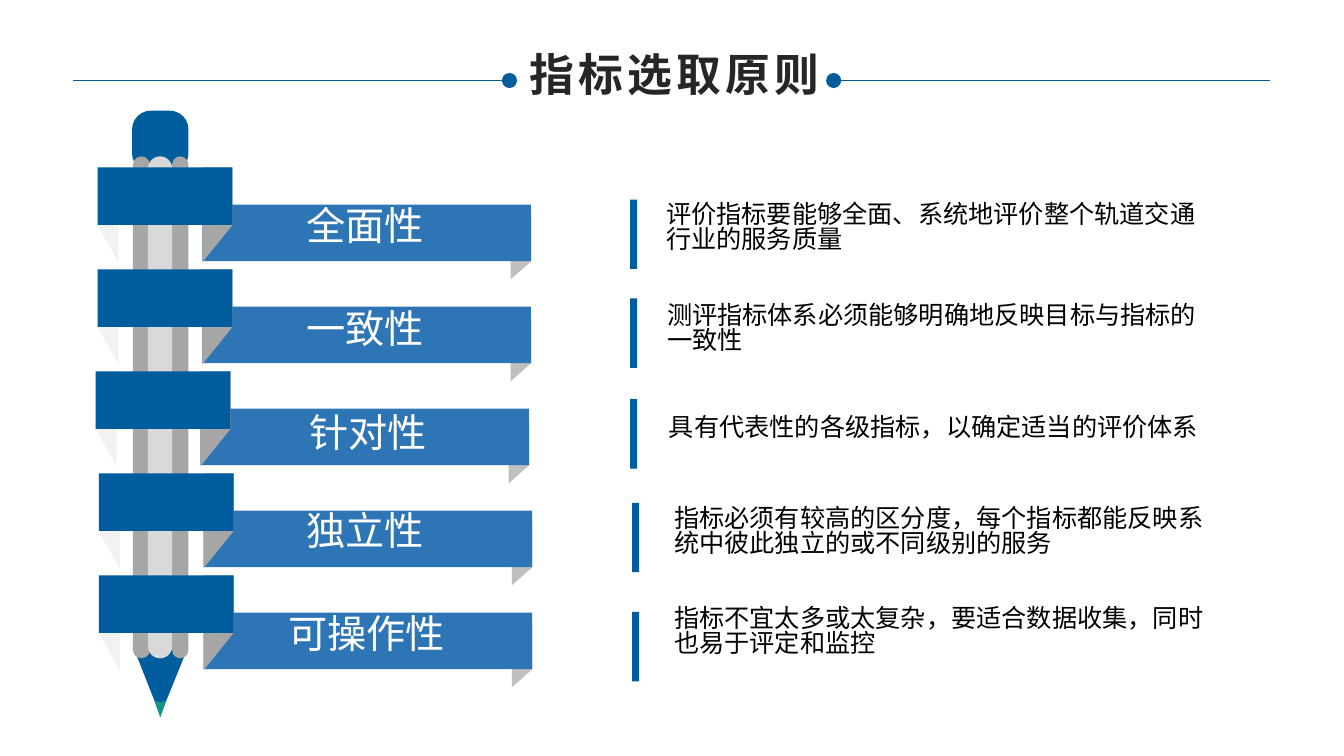
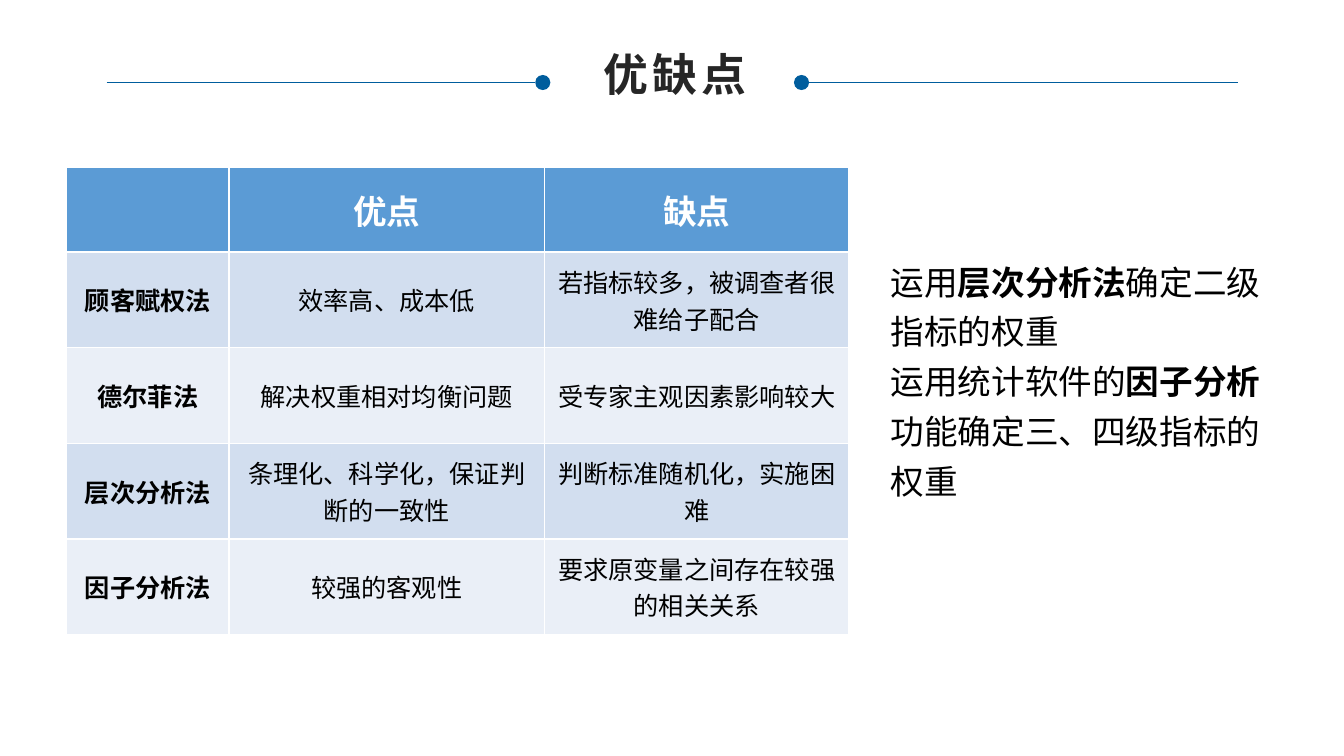
from typing import NamedTuple

from lxml import etree
from pptx import Presentation
from pptx.dml.color import RGBColor
from pptx.enum import shapes, text
from pptx.oxml import ns
from pptx.util import Cm, Pt

NAVY = RGBColor(0x00, 0x5D, 0x9D)
BLUE = RGBColor(0x2E, 0x75, 0xB6)
TEAL = RGBColor(0x13, 0x91, 0x8D)
HEADER_BLUE = RGBColor(0x5B, 0x9B, 0xD5)
ROW_DARK = RGBColor(0xD2, 0xDE, 0xEF)
ROW_LIGHT = RGBColor(0xEA, 0xEF, 0xF7)
INK = RGBColor(0x26, 0x26, 0x26)
BLACK = RGBColor(0, 0, 0)
WHITE = RGBColor(0xFF, 0xFF, 0xFF)
GREY = RGBColor(0xA6, 0xA6, 0xA6)
SILVER = RGBColor(0xBF, 0xBF, 0xBF)
PALE_GREY = RGBColor(0xD9, 0xD9, 0xD9)
MIST = RGBColor(0xF2, 0xF2, 0xF2)

CJK_FONT = "Noto Sans CJK SC"
LATIN_FONT = "Arial"
SINGLE = 0.83
DOT = 0.38
RULE_LENGTH = 10.8
BAND_TOP = 4.22
BAND_STEP = 2.57

RECT = shapes.MSO_SHAPE.RECTANGLE
ROUNDED = shapes.MSO_SHAPE.ROUNDED_RECTANGLE
OVAL = shapes.MSO_SHAPE.OVAL


class Frame(NamedTuple):
    left: float
    top: float
    width: float
    height: float

    def lengths(self) -> tuple:
        return tuple(Cm(value) for value in self)


class Style(NamedTuple):
    size: float
    color: RGBColor
    bold: bool = False
    font: str = CJK_FONT
    align: text.PP_ALIGN = text.PP_ALIGN.LEFT
    line_spacing: float = SINGLE
    tracking: int = 0


class Title(NamedTuple):
    words: str
    left: float
    right: float
    rule_y: float
    box: Frame


class Principle(NamedTuple):
    name: str
    detail: str
    band_left: float
    label: Frame
    bar: tuple
    body: Frame
    body_font: str = LATIN_FONT


class Rail(NamedTuple):
    left: float
    width: float
    color: RGBColor


CENTER = text.PP_ALIGN.CENTER
TITLE_STYLE = Style(32, INK, True, LATIN_FONT, CENTER, tracking=300)
LABEL_STYLE = Style(28, WHITE)
HEADER_STYLE = Style(24, WHITE, True, align=CENTER, line_spacing=1)
CELL_STYLE = Style(18, BLACK, align=CENTER, line_spacing=1)
SUMMARY_STYLE = Style(24, BLACK, line_spacing=1.24)

PRINCIPLES = [
    Principle("全面性", "评价指标要能够全面、系统地评价整个轨道交通行业的服务质量", 2.46,
              Frame(7.47, 5.16, 4.24, 1.45), (15.88, 5.03),
              Frame(16.54, 5, 14, 1.8), CJK_FONT),
    Principle("一致性", "测评指标体系必须能够明确地反映目标与指标的一致性", 2.46,
              Frame(7.47, 7.75, 4.24, 1.45), (15.88, 7.52),
              Frame(16.56, 7.54, 13.92, 1.8)),
    Principle("针对性", "具有代表性的各级指标，以确定适当的评价体系", 2.41,
              Frame(7.54, 10.36, 4.24, 1.45), (15.88, 10.06),
              Frame(16.61, 10.36, 13.97, 1.02)),
    Principle("独立性", "指标必须有较高的区分度，每个指标都能反映系统中彼此独立的或不同级别的服务", 2.49,
              Frame(7.47, 12.83, 4.24, 1.45), (15.93, 12.67),
              Frame(16.74, 12.67, 13.84, 1.8)),
    Principle("可操作性", "指标不宜太多或太复杂，要适合数据收集，同时也易于评定和监控", 2.49,
              Frame(7.01, 15.42, 5.33, 1.45), (15.93, 15.42),
              Frame(16.74, 15.19, 13.84, 1.8)),
]

RAILS = [Rail(4.34, 0.41, GREY), Rail(3.35, 0.43, GREY), Rail(3.73, 0.61, PALE_GREY)]

METHODS = [
    ("", "优点", "缺点"),
    ("顾客赋权法", "效率高、成本低", "若指标较多，被调查者很难给子配合"),
    ("德尔菲法", "解决权重相对均衡问题", "受专家主观因素影响较大"),
    ("层次分析法", "条理化、科学化，保证判断的一致性", "判断标准随机化，实施困难"),
    ("因子分析法", "较强的客观性", "要求原变量之间存在较强的相关关系"),
]
COLUMN_WIDTHS = [4.09, 7.95, 7.67]
ROW_HEIGHTS = [2.13] + [2.41] * 4

SUMMARY = [
    [("运用", False), ("层次分析法", True), ("确定二级指标的权重", False)],
    [("运用统计软件的", False), ("因子分析", True), ("功能确定三、四级指标的权重", False)],
]


def paint(shape, color: RGBColor) -> None:
    shape.shadow.inherit = False
    shape.fill.solid()
    shape.fill.fore_color.rgb = color
    shape.line.fill.background()


def add_block(page, kind, frame: Frame, color: RGBColor, rounding: float = 0) -> None:
    block = page.shapes.add_shape(kind, *frame.lengths())
    paint(block, color)
    if rounding:
        block.adjustments[0] = rounding


def add_outline(page, points: list, color: RGBColor, left: float = 0, top: float = 0) -> None:
    corners = [(Cm(left + x), Cm(top + y)) for x, y in points]
    builder = page.shapes.build_freeform(*corners[0])
    builder.add_line_segments(corners[1:], close=True)
    paint(builder.convert_to_shape(), color)


def style_paragraph(para, style: Style) -> None:
    para.alignment = style.align
    para.line_spacing = style.line_spacing
    font = para.font
    font.size = Pt(style.size)
    font.bold = style.bold
    font.color.rgb = style.color
    font.name = style.font
    defaults = para._p.pPr.find(ns.qn("a:defRPr"))
    defaults.find(ns.qn("a:latin")).addnext(
        etree.Element(ns.qn("a:ea"), typeface=CJK_FONT))
    if style.tracking:
        defaults.set("spc", str(style.tracking))


def add_text(page, frame: Frame, paragraphs: list, style: Style, wrap: bool = True) -> None:
    box = page.shapes.add_textbox(*frame.lengths())
    box.text_frame.word_wrap = wrap
    for index, pieces in enumerate(paragraphs):
        para = box.text_frame.add_paragraph() if index else box.text_frame.paragraphs[0]
        for words, bold in pieces:
            span = para.add_run()
            span.text = words
            if bold != style.bold:
                span.font.bold = bold
        style_paragraph(para, style)


def add_line_of_text(page, frame: Frame, words: str, style: Style, wrap: bool = True) -> None:
    add_text(page, frame, [[(words, style.bold)]], style, wrap)


def add_title(page, title: Title) -> None:
    for outer, direction in ((title.left, 1), (title.right, -1)):
        inner = outer + direction * RULE_LENGTH
        rule = page.shapes.add_connector(
            shapes.MSO_CONNECTOR.STRAIGHT,
            Cm(outer), Cm(title.rule_y), Cm(inner), Cm(title.rule_y))
        rule.line.color.rgb = NAVY
        rule.line.width = Pt(0.25)
        etree.SubElement(rule._element.spPr, ns.qn("a:effectLst"))
        dot_left = inner if direction > 0 else inner - DOT
        add_block(page, OVAL, Frame(dot_left, title.rule_y - DOT / 2, DOT, DOT), NAVY)
    add_line_of_text(page, title.box, title.words, TITLE_STYLE, wrap=False)


def add_pencil(page) -> None:
    add_block(page, ROUNDED, Frame(3.33, 2.79, 1.42, 1.55), NAVY, 0.33)
    add_outline(page, [(3.35, 16.28), (4.75, 16.28), (4.04, 18.03)], NAVY)
    add_outline(page, [(3.89, 17.65), (4.04, 17.7), (4.19, 17.65), (4.04, 18.08)], TEAL)
    for rail in RAILS:
        add_block(page, ROUNDED, Frame(rail.left, 3.94, rail.width, 12.65), rail.color, 0.5)


def add_band(page, left: float, top: float) -> None:
    add_outline(page, [(10.41, 2.82), (10.93, 2.36), (10.93, 1.22), (10.41, 1.22)],
                SILVER, left, top)
    add_block(page, RECT, Frame(left + 2.64, top + 0.94, 8.28, 1.42), BLUE)
    for near, far, color in ((0.53, 0, MIST), (2.64, 3.4, GREY)):
        add_outline(page, [(near, 2.39), (far, 1.45), (far, 0), (near, 0)], color, left, top)
    add_block(page, RECT, Frame(left, top, 3.4, 1.45), NAVY)


def build_principles(page) -> None:
    add_title(page, Title("指标选取原则", 1.85, 32, 2.03, Frame(13, 1.27, 8, 1.63)))
    add_pencil(page)
    for index, principle in enumerate(PRINCIPLES):
        add_band(page, principle.band_left, BAND_TOP + index * BAND_STEP)
        add_line_of_text(page, principle.label, principle.name, LABEL_STYLE)
        add_block(page, RECT, Frame(*principle.bar, 0.18, 1.75), NAVY)
        add_line_of_text(page, principle.body, principle.detail,
                         Style(18, BLACK, font=principle.body_font))


def add_methods_table(page) -> None:
    frame = Frame(1.68, 4.22, sum(COLUMN_WIDTHS), sum(ROW_HEIGHTS))
    table = page.shapes.add_table(
        len(METHODS), len(COLUMN_WIDTHS), *frame.lengths()).table
    for column, width in zip(table.columns, COLUMN_WIDTHS):
        column.width = Cm(width)
    for row_index, (row, height, entries) in enumerate(
            zip(table.rows, ROW_HEIGHTS, METHODS)):
        row.height = Cm(height)
        fill = (ROW_DARK if row_index % 2 else ROW_LIGHT) if row_index else HEADER_BLUE
        for column_index, (cell, words) in enumerate(zip(row.cells, entries)):
            cell.fill.solid()
            cell.fill.fore_color.rgb = fill
            cell.vertical_anchor = text.MSO_ANCHOR.MIDDLE
            cell.text = words
            style = (CELL_STYLE._replace(bold=column_index == 0)
                     if row_index else HEADER_STYLE)
            style_paragraph(cell.text_frame.paragraphs[0], style)


def build_comparison(page) -> None:
    add_title(page, Title("优缺点", 2.69, 31.19, 2.08, Frame(14.88, 1.27, 4.24, 1.63)))
    add_methods_table(page)
    add_text(page, Frame(22.2, 6.22, 9.98, 7.8), SUMMARY, SUMMARY_STYLE)


def main() -> None:
    deck = Presentation()
    deck.slide_width, deck.slide_height = Cm(33.87), Cm(19.05)
    for build in (build_principles, build_comparison):
        build(deck.slides.add_slide(deck.slide_layouts[6]))
    deck.save("out.pptx")


if __name__ == "__main__":
    main()
